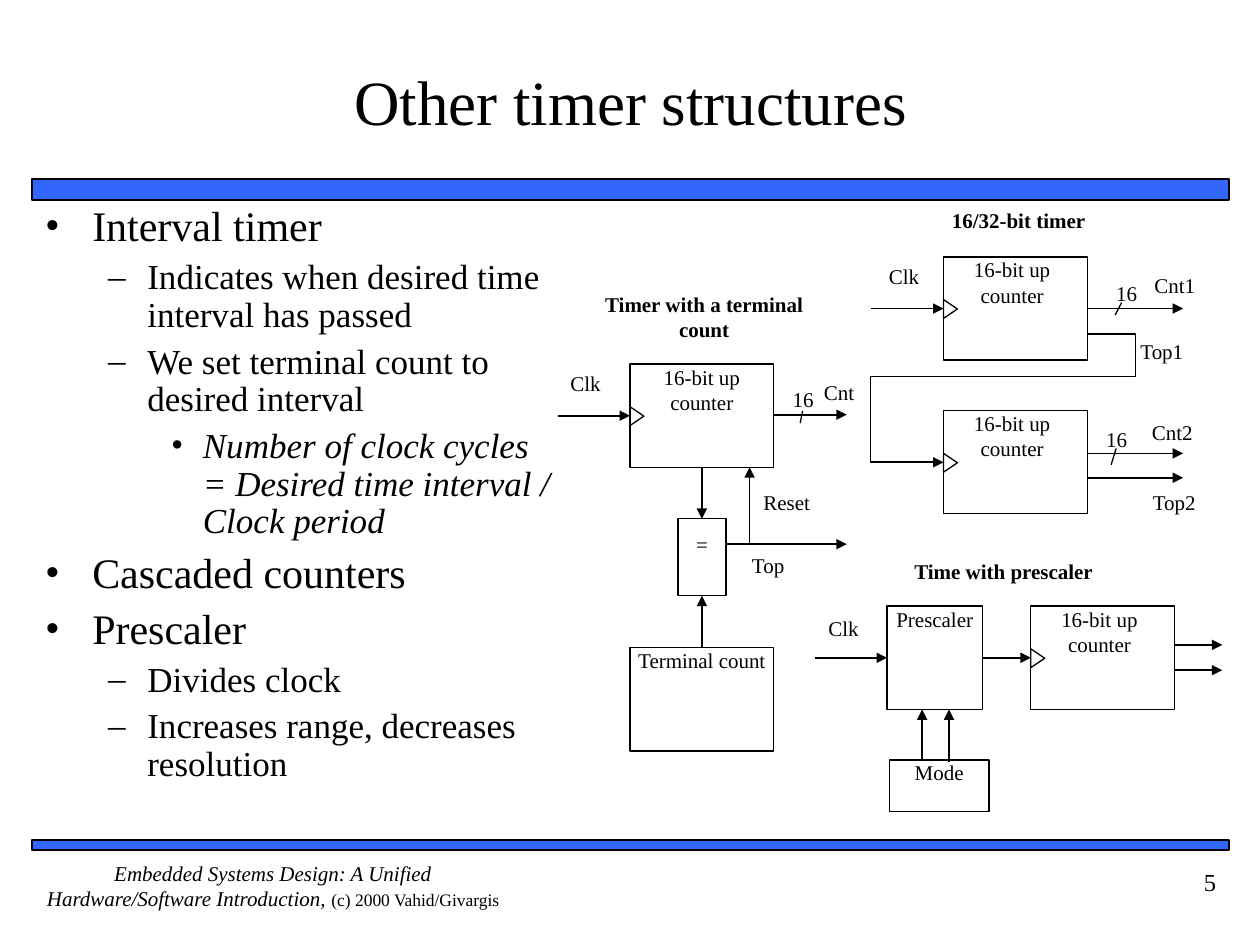
from lxml import etree
from pptx import Presentation
from pptx.dml.color import RGBColor
from pptx.enum.shapes import MSO_CONNECTOR, MSO_SHAPE
from pptx.enum.text import MSO_ANCHOR, MSO_AUTO_SIZE, PP_ALIGN
from pptx.oxml.ns import qn
from pptx.util import Cm, Pt

RECT, TRIANGLE = MSO_SHAPE.RECTANGLE, MSO_SHAPE.ISOSCELES_TRIANGLE
STRAIGHT = MSO_CONNECTOR.STRAIGHT
LEFT, CENTER, RIGHT = PP_ALIGN.LEFT, PP_ALIGN.CENTER, PP_ALIGN.RIGHT
TOP, MIDDLE = MSO_ANCHOR.TOP, MSO_ANCHOR.MIDDLE
FONT, BLACK, BLUE = "Times New Roman", "000000", "3366FF"
THIN, WIRE = 0.75, 1

TITLE = "Other timer structures"
FOOTER = [("Embedded Systems Design: A Unified Hardware/Software Introduction, ", 12, True),
          ("(c) 2000 Vahid/Givargis", 10, False)]
BULLETS = [
    (0, "Interval timer"),
    (1, "Indicates when desired time interval has passed"),
    (1, "We set terminal count to desired interval"),
    (2, "Number of clock cycles = Desired time interval / Clock period"),
    (0, "Cascaded counters"),
    (0, "Prescaler"),
    (1, "Divides clock"),
    (1, "Increases range, decreases resolution"),
]
LEVELS = [
    dict(size=24, italic=False, before=6, margin=0.95, hang=0.95, char="•"),
    dict(size=20, italic=False, before=5, margin=2.06, hang=0.79, char="–"),
    dict(size=20, italic=True, before=5, margin=3.18, hang=0.64, char="•"),
]
BARS = [(0.64, 3.61, 24.13, 0.43), (0.64, 16.94, 24.13, 0.2)]
COUNTER_W, COUNTER_H = 2.9, 2.08
COUNTERS = [(12.7, 7.34, 0), (19.02, 5.18, 0.13), (19.02, 8.28, 0.13), (20.78, 12.22, 0.13)]
BOXES = [
    ("Terminal count", 12.7, 13.06, COUNTER_W, COUNTER_H, 0),
    ("=", 13.67, 10.46, 0.97, 1.55, 0.25),
    ("Prescaler", 17.88, 12.22, 1.93, COUNTER_H, 0),
    ("Mode", 17.93, 15.32, 2.01, 1.04, 0),
]
HEADINGS = [
    ("Timer with a terminal count", 11.96, 5.87, 4.47, 1.04),
    ("16/32-bit timer", 18.59, 4.19, 3.89, 0.79),
    ("Time with prescaler", 17.63, 11.25, 5.21, 0.86),
]
CLOCKS = [(11.13, 7.47, 1.35), (17.5, 5.31, 1.45), (16.23, 12.4, 1.55)]
SIGNALS = [
    ("16", 15.98, 7.8, 0.66), ("Cnt", 16.61, 7.65, 1.04),
    ("Reset", 15.39, 9.86, 1.93), ("Top", 15.16, 11.13, 1.45),
    ("16", 22.5, 5.66, 0.69), ("Cnt1", 23.27, 5.49, 1.14), ("Top1", 22.99, 6.83, 1.09),
    ("16", 22.3, 8.59, 0.69), ("Cnt2", 23.22, 8.46, 1.45), ("Top2", 23.24, 9.86, 1.5),
]
ARROWS = [
    (11.25, 8.38, 12.7, 8.38), (15.6, 8.36, 17.07, 8.36), (14.63, 10.97, 17.07, 10.97),
    (14.15, 9.42, 14.15, 10.46), (14.15, 13.06, 14.15, 12.01), (15.11, 10.97, 15.11, 9.42),
    (17.55, 6.22, 19.02, 6.22), (21.92, 6.22, 23.85, 6.22),
    (21.92, 9.14, 23.85, 9.14), (21.92, 9.63, 23.85, 9.63),
    (16.43, 13.26, 17.88, 13.26), (19.81, 13.26, 20.78, 13.26),
    (23.68, 13, 24.64, 13), (23.68, 13.51, 24.64, 13.51),
    (18.59, 15.32, 18.59, 14.3), (19.13, 15.37, 19.13, 14.3),
]
TICKS = [(16.18, 8.28, 16.13, 8.53), (22.61, 6.1, 22.48, 6.35), (22.5, 9.04, 22.4, 9.37)]
CASCADE = [(21.92, 6.73), (22.89, 6.73), (22.89, 7.59), (17.55, 7.59), (17.55, 9.32), (19.02, 9.32)]


def color(value):
    """Turn a hex string into a colour."""
    return RGBColor.from_string(value)


def add_run(p, text, size=12, bold=False, italic=False):
    """Append one formatted run."""
    r = p.add_run()
    r.text = text
    r.font.name, r.font.size = FONT, Pt(size)
    r.font.bold, r.font.italic = bold, italic
    r.font.color.rgb = color(BLACK)


def frame(sp, anchor=TOP, insets=(0, 0, 0, 0)):
    """Prepare a wrapped text frame and return it."""
    tf = sp.text_frame
    tf.word_wrap, tf.auto_size, tf.vertical_anchor = True, MSO_AUTO_SIZE.NONE, anchor
    tf.margin_left, tf.margin_top, tf.margin_right, tf.margin_bottom = map(Cm, insets)
    return tf


def outline(sp, width, fill=None):
    """Set line and fill and drop the shadow."""
    sp.shadow.inherit = False
    sp.line.color.rgb, sp.line.width = color(BLACK), Pt(width)
    if fill:
        sp.fill.solid()
        sp.fill.fore_color.rgb = color(fill)
    else:
        sp.fill.background()


def box(text, x, y, w, h, insets=(0, 0, 0, 0)):
    """Add an outlined block with a centred caption."""
    sp = s.shapes.add_shape(RECT, Cm(x), Cm(y), Cm(w), Cm(h))
    outline(sp, THIN)
    p = frame(sp, insets=insets).paragraphs[0]
    p.alignment = CENTER
    add_run(p, text)


def label(runs, x, y, w, h, align=LEFT, insets=(0, 0, 0, 0)):
    """Add a text box made of (text, size, bold, italic) runs."""
    sp = s.shapes.add_textbox(Cm(x), Cm(y), Cm(w), Cm(h))
    p = frame(sp, insets=insets).paragraphs[0]
    p.alignment = align
    for run in runs:
        add_run(p, *run)


def arrowhead(sp):
    """End a line with a triangle."""
    etree.SubElement(sp.line._get_or_add_ln(), qn("a:tailEnd"), type="triangle")


def wire(points, width):
    """Add a straight line and return it."""
    c = s.shapes.add_connector(STRAIGHT, *map(Cm, points))
    c.line.color.rgb, c.line.width = color(BLACK), Pt(width)
    etree.SubElement(c._element.spPr, qn("a:effectLst"))
    return c


def place(sp, x, y, w, h):
    """Move and size a placeholder."""
    sp.left, sp.top, sp.width, sp.height = Cm(x), Cm(y), Cm(w), Cm(h)


prs = Presentation()
prs.slide_width, prs.slide_height = Cm(25.4), Cm(19.05)
s = prs.slides.add_slide(prs.slide_layouts[1])

for bar in BARS:
    outline(s.shapes.add_shape(RECT, *map(Cm, bar)), WIRE, BLUE)

title, body = s.shapes.title, s.placeholders[1]
place(title, 1.07, 0.43, 23.29, 3.18)
p = frame(title, MIDDLE, (0, 0.13, 0, 0.13)).paragraphs[0]
p.alignment = CENTER
add_run(p, TITLE, 36)

place(body, 0.66, 4.01, 10.9, 12.12)
tf = frame(body, insets=(0.25, 0.13, 0.25, 0.13))
for i, (level, text) in enumerate(BULLETS):
    style = LEVELS[level]
    p = tf.add_paragraph() if i else tf.paragraphs[0]
    p.level, p.line_spacing, p.space_before = level, 0.9, Pt(style["before"])
    pPr = p._p.get_or_add_pPr()
    pPr.set("marL", str(Cm(style["margin"])))
    pPr.set("indent", str(-Cm(style["hang"])))
    etree.SubElement(pPr, qn("a:buFont"), typeface=FONT)
    etree.SubElement(pPr, qn("a:buChar"), char=style["char"])
    add_run(p, text, style["size"], italic=style["italic"])

for x, y, inset in COUNTERS:
    box("16-bit up counter", x, y, COUNTER_W, COUNTER_H, (0, 0, inset, 0))
    sp = s.shapes.add_shape(TRIANGLE, Cm(x - 0.05), Cm(y + 0.91), Cm(0.38), Cm(0.28))
    sp.rotation = 90
    outline(sp, THIN)
for text, x, y, w, h, inset in BOXES:
    box(text, x, y, w, h, (0, inset, 0, 0))

for points in ARROWS:
    arrowhead(wire(points, WIRE))
for points in TICKS:
    wire(points, THIN)
corners = [(Cm(x), Cm(y)) for x, y in CASCADE]
path_builder = s.shapes.build_freeform(*corners[0])
path_builder.add_line_segments(corners[1:], close=False)
cascade = path_builder.convert_to_shape()
outline(cascade, WIRE)
arrowhead(cascade)

for text, *area in HEADINGS:
    label([(text, 12, True)], *area, CENTER)
for x, y, w in CLOCKS:
    label([("Clk",)], x, y, w, 0.7, CENTER)
for text, x, y, w in SIGNALS:
    label([(text,)], x, y, w, 0.65)

label([(text, size, False, italic) for text, size, italic in FOOTER], 0.64, 17.35, 9.73, 1.27, CENTER)
label([("5", 14)], 22.23, 17.35, 2.54, 1.27, RIGHT, (0.25, 0.13, 0.25, 0.13))

prs.save("out.pptx")
